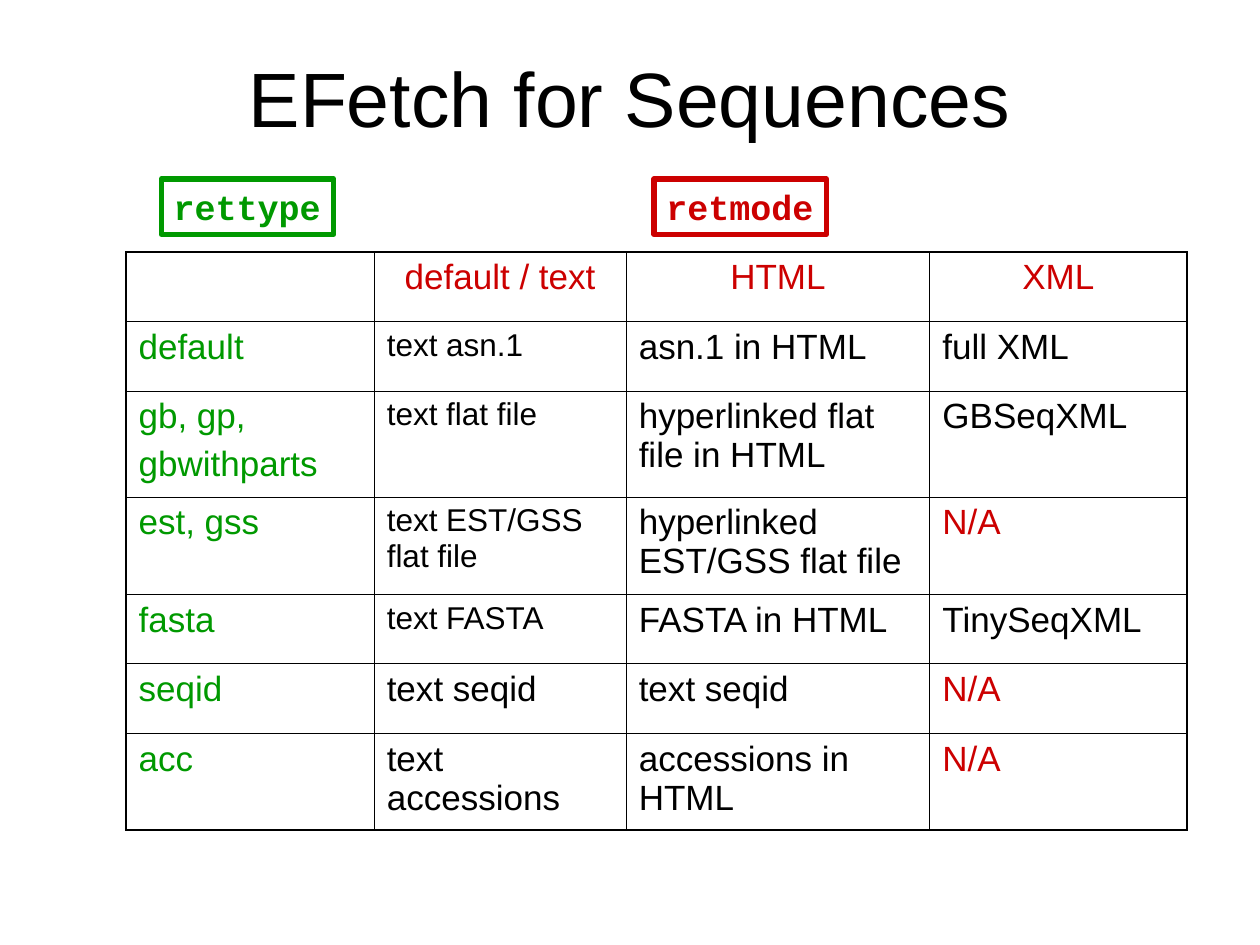
from lxml.etree import SubElement
from pptx import Presentation
from pptx.dml.color import RGBColor
from pptx.enum.shapes import MSO_SHAPE
from pptx.enum.text import MSO_ANCHOR, MSO_AUTO_SIZE, PP_ALIGN
from pptx.oxml.ns import qn
from pptx.util import Inches, Pt

COLORS = {"black": "000000", "green": "009900", "red": "CC0000"}
WIDTH, HEIGHT = Inches(10), Inches(7.5)
COL_WIDTHS = [1.97, 2, 2.41, 2.04]
ROW_HEIGHTS = [0.55, 0.55, 0.84, 0.77, 0.55, 0.55, 0.77]
ROWS = [
    ["", "default / text", "HTML", "XML"],
    ["default", "text asn.1", "asn.1 in HTML", "full XML"],
    ["gb, gp,\ngbwithparts", "text flat file", "hyperlinked flat file in HTML", "GBSeqXML"],
    ["est, gss", "text EST/GSS flat file", "hyperlinked EST/GSS flat file", "N/A"],
    ["fasta", "text FASTA", "FASTA in HTML", "TinySeqXML"],
    ["seqid", "text seqid", "text seqid", "N/A"],
    ["acc", "text accessions", "accessions in HTML", "N/A"],
]
SMALL_ROWS = range(1, 5)  # rows whose plain-text column is set at 18 pt


def rgb(name):
    return RGBColor.from_string(COLORS[name])


def style_text(tf, size, color, font="Arial", bold=False, align=PP_ALIGN.LEFT, before=0):
    for p in tf.paragraphs:
        p.alignment = align
        p.space_before = Pt(before)
        for r in p.runs:
            r.font.name, r.font.size, r.font.bold = font, Pt(size), bold
            r.font.color.rgb = rgb(color)


def set_borders(cell, widths):
    """Draw solid black cell borders; widths maps L, R, T, B to points."""
    tc_pr = cell._tc.get_or_add_tcPr()
    for side in "LRTB":
        ln = SubElement(tc_pr, qn(f"a:ln{side}"), w=str(Pt(widths[side])))
        fill = SubElement(ln, qn("a:solidFill"))
        SubElement(fill, qn("a:srgbClr"), val=COLORS["black"])


def add_title(slide, box, text):
    title = slide.shapes.title
    title.left, title.top, title.width, title.height = box
    tf = title.text_frame
    tf.text = text
    tf.vertical_anchor = MSO_ANCHOR.MIDDLE
    style_text(tf, 44, "black", align=PP_ALIGN.CENTER)


def add_parameter_label(slide, box, text, color):
    sp = slide.shapes.add_shape(MSO_SHAPE.RECTANGLE, *box)
    sp.shadow.inherit = False
    sp.fill.background()
    sp.line.color.rgb = rgb(color)
    sp.line.width = Pt(3)
    tf = sp.text_frame
    tf.text = text
    tf.word_wrap = False
    tf.auto_size = MSO_AUTO_SIZE.SHAPE_TO_FIT_TEXT
    tf.vertical_anchor = MSO_ANCHOR.TOP
    style_text(tf, 20, color, "Courier New", bold=True)


def fill_cell(cell, text, row, col):
    cell.text = text
    if row == 0 or text == "N/A":
        color = "red"
    else:
        color = "green" if col == 0 else "black"
    size = 18 if col == 1 and row in SMALL_ROWS else 20
    align = PP_ALIGN.CENTER if row == 0 else PP_ALIGN.LEFT
    style_text(cell.text_frame, size, color, align=align, before=size / 4)
    outer = {"L": col == 0, "R": col == len(COL_WIDTHS) - 1,
             "T": row == 0, "B": row == len(ROWS) - 1}
    set_borders(cell, {side: 1.08 if edge else 0.45 for side, edge in outer.items()})
    cell.fill.background()


def add_format_table(slide, box):
    _, _, width, height = box
    table = slide.shapes.add_table(len(ROWS), len(COL_WIDTHS), *box).table
    table.first_row = table.horz_banding = False
    for column, share in zip(table.columns, COL_WIDTHS):
        column.width = int(width * share / sum(COL_WIDTHS))
    for row, share in zip(table.rows, ROW_HEIGHTS):
        row.height = int(height * share / sum(ROW_HEIGHTS))
    for i, texts in enumerate(ROWS):
        for j, text in enumerate(texts):
            fill_cell(table.cell(i, j), text, i, j)


def main():
    prs = Presentation()
    prs.slide_width, prs.slide_height = WIDTH, HEIGHT
    slide = prs.slides.add_slide(prs.slide_layouts[5])
    margin = int(WIDTH * 0.05)
    add_title(slide, (margin, Inches(0.33), WIDTH - 2 * margin, Inches(0.87)),
              "EFetch for Sequences")
    add_format_table(slide, (2 * margin, Inches(2), Inches(8.42), Inches(4.59)))
    for left, text, color in [(1.28, "rettype", "green"), (5.19, "retmode", "red")]:
        box = Inches(left), Inches(1.42), Inches(1.37), Inches(0.44)
        add_parameter_label(slide, box, text, color)
    prs.save("out.pptx")


if __name__ == "__main__":
    main()
